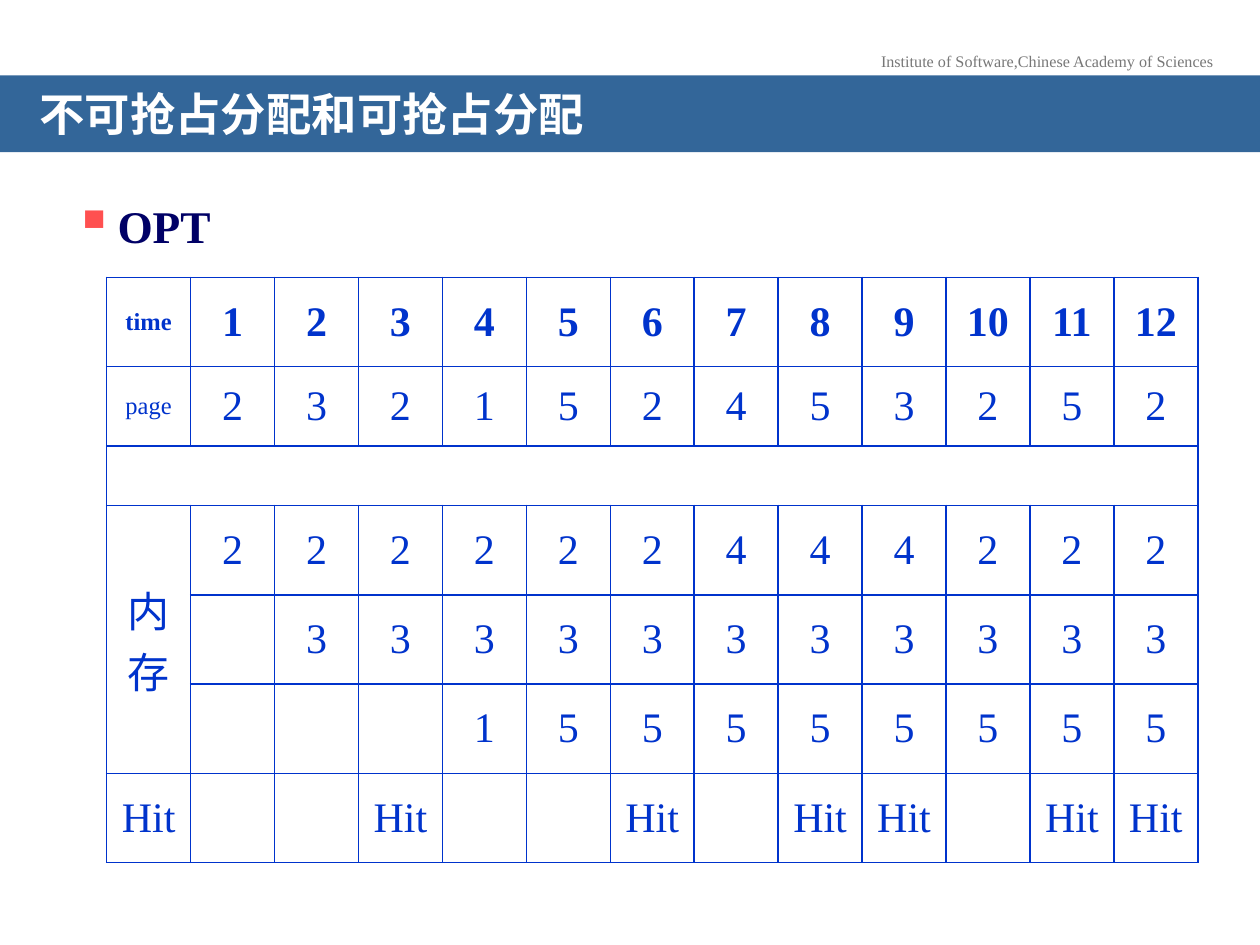
"""Build a slide tracing the OPT page replacement algorithm."""
from dataclasses import dataclass

import pptx
import pptx.dml.color
import pptx.enum.shapes
import pptx.enum.text
import pptx.oxml
import pptx.oxml.ns
import pptx.util
from pptx.util import Cm

ALIGN = pptx.enum.text.PP_ALIGN
MIDDLE = pptx.enum.text.MSO_ANCHOR.MIDDLE
NAMESPACE = pptx.oxml.ns.nsdecls("a")


@dataclass(frozen=True)
class Theme:
    """Fonts, colours and type sizes of the slide."""
    latin: str = "Times New Roman"
    chinese: str = "Noto Sans CJK SC"
    white: str = "FFFFFF"
    grey: str = "777777"
    band: str = "336699"
    navy: str = "000066"
    blue: str = "0033CC"
    bullet: str = "FF5050"
    small: float = 9.2
    label: float = 14
    value: float = 24
    heading: float = 25.9
    border: float = 1


THEME = Theme()
ROW_HEIGHTS = (1.8, 1.6, 1.2, 1.8, 1.8, 1.8, 1.8)
TABLE_WIDTH = 22
HITS = (3, 6, 8, 9, 11, 12)
ROWS = (
    ["time", *map(str, range(1, 13))],
    ["page", *"232152453252"],
    [""] * 13,
    ["内存", *"222222444222"],
    ["", "", *"3" * 11],
    ["", "", "", "", "1", *"5" * 8],
    ["Hit", *("Hit" if time in HITS else "" for time in range(1, 13))],
)


def rgb(colour):
    """Turn a hex string into a colour."""
    return pptx.dml.color.RGBColor.from_string(colour)


def write(text_frame, text, size, colour, bold=False, align=ALIGN.LEFT, font=THEME.latin):
    """Set the text of a frame, format it and return its paragraph."""
    text_frame.text = text
    paragraph = text_frame.paragraphs[0]
    paragraph.alignment = align
    for run in paragraph.runs:
        run.font.size = pptx.util.Pt(size)
        run.font.bold = bold
        run.font.name = font
        run.font.color.rgb = rgb(colour)
        run.font._element.append(pptx.oxml.parse_xml(
            f'<a:ea {NAMESPACE} typeface="{THEME.chinese}"/>'))
    return paragraph


def add_affiliation(slide):
    """Add the institute line above the title band."""
    box = slide.shapes.add_textbox(Cm(17.45), Cm(0.91), Cm(7.32), Cm(0.66))
    box.text_frame.word_wrap = False
    write(box.text_frame, "Institute of Software,Chinese Academy of Sciences",
          THEME.small, THEME.grey, align=ALIGN.CENTER)


def add_title(slide, text):
    """Add the full-width title band."""
    band = slide.shapes.add_shape(
        pptx.enum.shapes.MSO_SHAPE.RECTANGLE, 0, Cm(1.52), Cm(25.4), Cm(1.55))
    band.shadow.inherit = False
    band.fill.solid()
    band.fill.fore_color.rgb = rgb(THEME.band)
    band.line.fill.background()
    frame = band.text_frame
    frame.word_wrap = True
    frame.vertical_anchor = MIDDLE
    frame.margin_left = frame.margin_right = Cm(0.8)
    frame.margin_top, frame.margin_bottom = Cm(0.4), Cm(0.13)
    paragraph = write(frame, text, THEME.heading, THEME.white, True, font=THEME.chinese)
    paragraph.line_spacing = 0.7


def add_bullet(slide, text):
    """Add the body text with a square bullet."""
    box = slide.shapes.add_textbox(Cm(1.24), Cm(3.73), Cm(22.9), Cm(13.6))
    box.text_frame.word_wrap = True
    box.text_frame.margin_top = Cm(0.26)
    paragraph = write(box.text_frame, text, THEME.heading, THEME.navy, True)
    properties = paragraph._p.get_or_add_pPr()
    properties.set("marL", str(Cm(0.88)))
    properties.set("indent", str(Cm(-0.88)))
    for element in (f'<a:buClr {NAMESPACE}><a:srgbClr val="{THEME.bullet}"/></a:buClr>',
                    f'<a:buSzPct {NAMESPACE} val="120000"/>',
                    f'<a:buChar {NAMESPACE} char="▪"/>'):
        properties.append(pptx.oxml.parse_xml(element))


def style_cell(cell):
    """Clear the fill of a cell and draw its four borders."""
    cell.vertical_anchor = MIDDLE
    properties = cell._tc.get_or_add_tcPr()
    width = pptx.util.Pt(THEME.border)
    for side in ("lnL", "lnR", "lnT", "lnB"):
        properties.append(pptx.oxml.parse_xml(
            f'<a:{side} {NAMESPACE} w="{width}"><a:solidFill>'
            f'<a:srgbClr val="{THEME.blue}"/></a:solidFill></a:{side}>'))
    cell.fill.background()


def add_trace_table(slide):
    """Add the table of page requests, memory frames and hits."""
    table = slide.shapes.add_table(
        len(ROWS), len(ROWS[0]), Cm(2.15), Cm(5.59),
        Cm(TABLE_WIDTH), Cm(sum(ROW_HEIGHTS))).table
    table.first_row = table.horz_banding = False
    for column in table.columns:
        column.width = Cm(TABLE_WIDTH / len(ROWS[0]))
    for row, height in zip(table.rows, ROW_HEIGHTS):
        row.height = Cm(height)
    for row_index, texts in enumerate(ROWS):
        for column_index, text in enumerate(texts):
            cell = table.cell(row_index, column_index)
            style_cell(cell)
            if text:
                size = THEME.label if text in ("time", "page") else THEME.value
                write(cell.text_frame, text, size, THEME.blue, row_index == 0, ALIGN.CENTER)
    table.cell(2, 0).merge(table.cell(2, 12))
    table.cell(3, 0).merge(table.cell(5, 0))


def main():
    """Build and save the presentation."""
    presentation = pptx.Presentation()
    presentation.slide_width, presentation.slide_height = Cm(25.4), Cm(19.05)
    slide = presentation.slides.add_slide(presentation.slide_layouts[6])
    add_affiliation(slide)
    add_bullet(slide, "OPT")
    add_title(slide, "不可抢占分配和可抢占分配")
    add_trace_table(slide)
    presentation.save("out.pptx")


if __name__ == "__main__":
    main()
